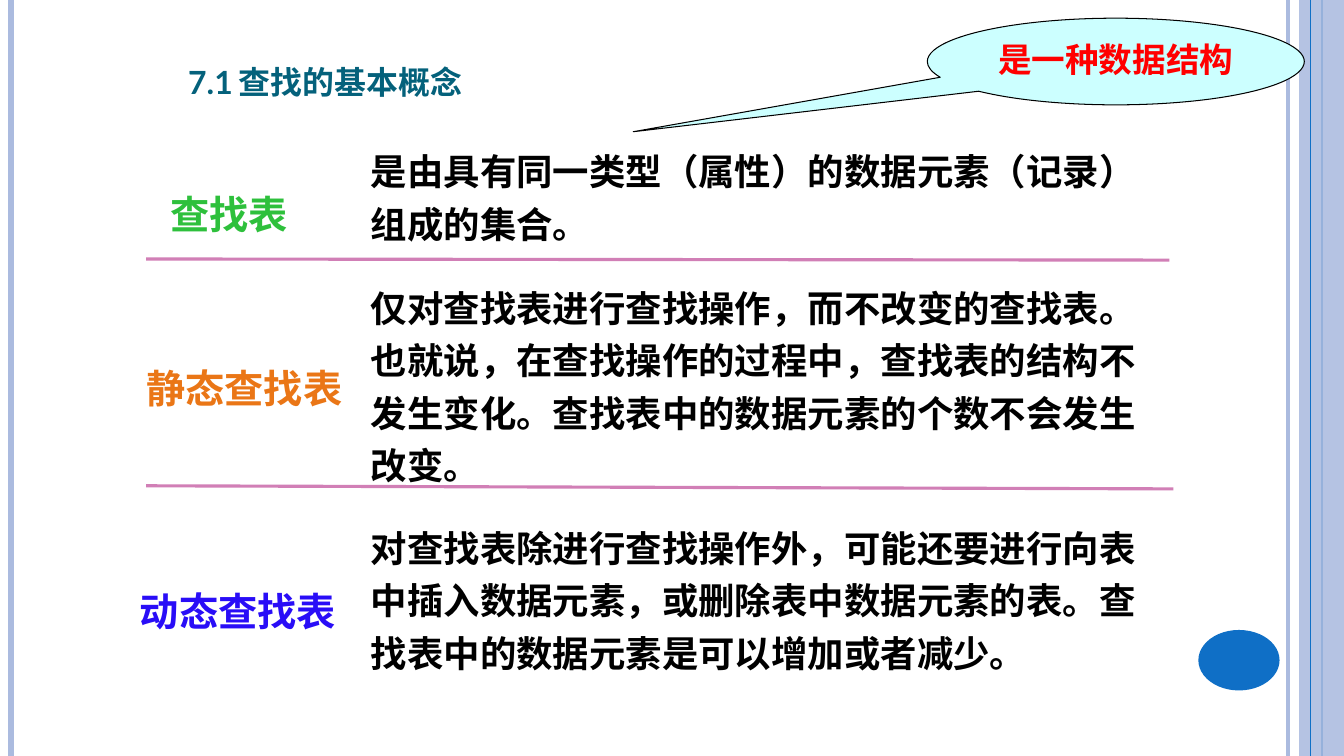
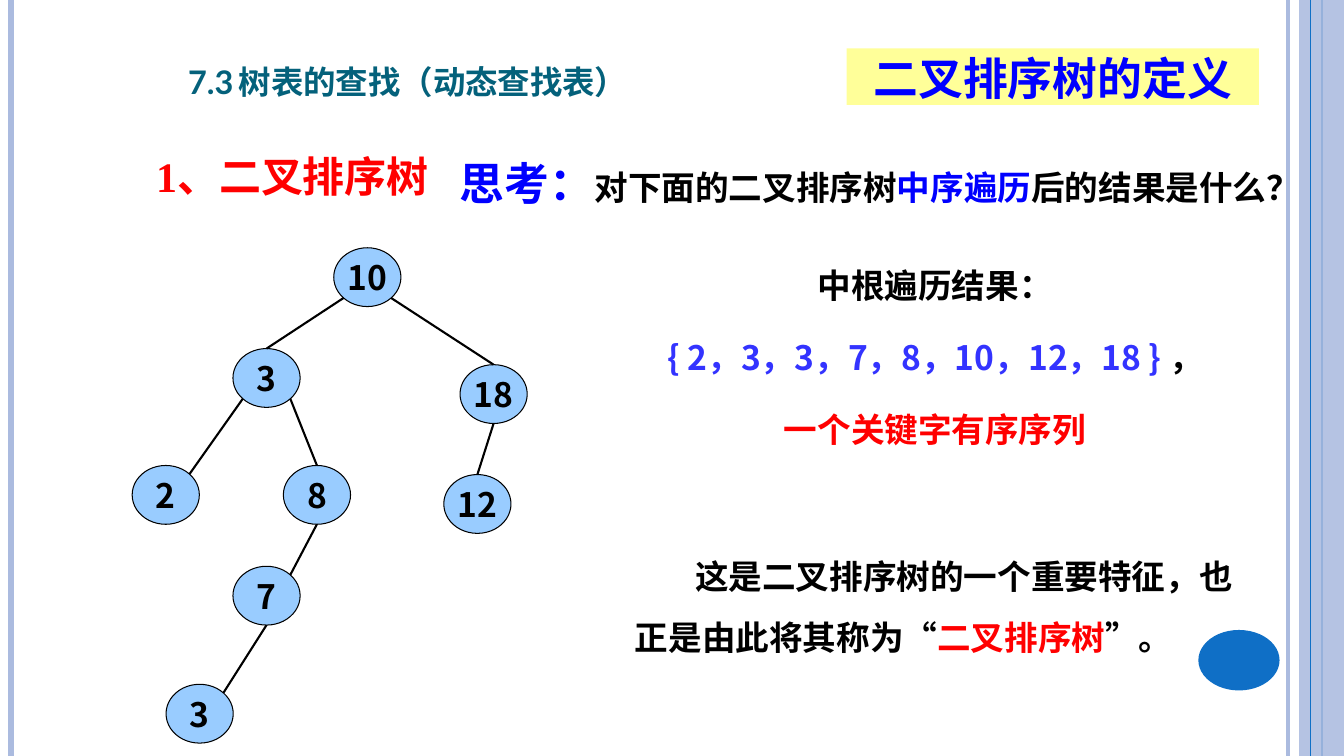
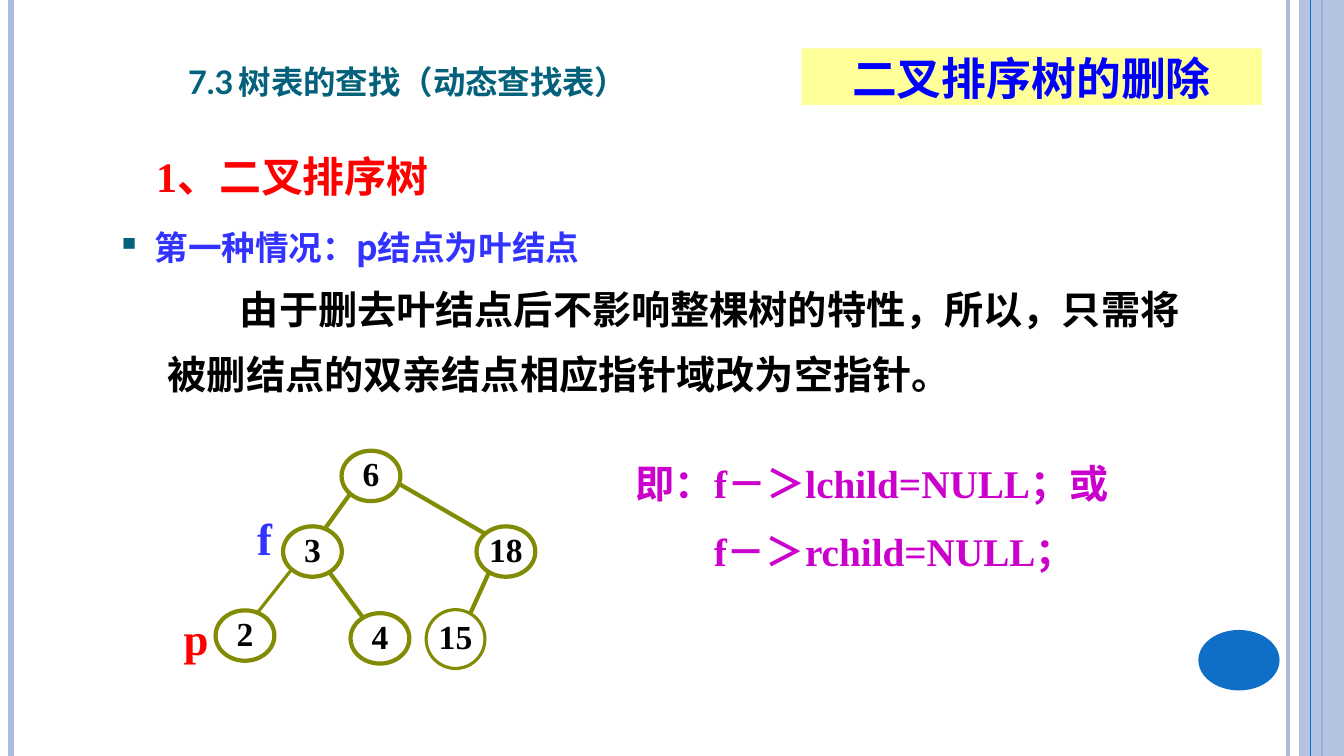
import math

import pptx
import pptx.dml.color
import pptx.enum.shapes
import pptx.enum.text
import pptx.oxml.ns
import pptx.util
from lxml import etree

Pt = pptx.util.Pt
SHAPES = pptx.enum.shapes.MSO_SHAPE
LEFT = pptx.enum.text.PP_ALIGN.LEFT
CENTER = pptx.enum.text.PP_ALIGN.CENTER
TOP = pptx.enum.text.MSO_ANCHOR.TOP
MIDDLE = pptx.enum.text.MSO_ANCHOR.MIDDLE

COLORS = {
    "band": "ABBBDF", "accent": "0F6FC6", "title": "04617B", "black": "000000",
    "red": "FF0000", "blue": "0000FF", "violet_blue": "3333FF", "green": "2EC03C",
    "orange": "EA7616", "indigo": "290DF7", "divider": "D17FB6", "callout": "CCFFFF",
    "label": "FFFF99", "node": "99CCFF", "olive": "818B03", "magenta": "CC00CC",
}
SANS = "Noto Sans CJK SC"
SERIF = "Times New Roman"
TREE_SECTION = "7.3\t树表的查找（动态查找表）"


def add_xml(parent, tag, **attributes):
    return etree.SubElement(parent, pptx.oxml.ns.qn(tag), **attributes)


def run(text, size, color="black", font=SANS, caps=False):
    return {"text": text, "size": size, "color": color, "font": font, "caps": caps}


def para(*runs, align=LEFT, line=None, before=0, margin=0, indent=0, bullet=None, tab=None):
    """Describe a paragraph; line, before, margin, indent and tab are points."""
    return {"runs": runs, "align": align, "line": line, "before": before,
            "margin": margin, "indent": indent, "bullet": bullet, "tab": tab}


class Deck:
    def __init__(self):
        self.presentation = pptx.Presentation()
        self.presentation.slide_width = Pt(960)
        self.presentation.slide_height = Pt(540)
        self.slide = None

    def color(self, name):
        return pptx.dml.color.RGBColor.from_string(COLORS[name])

    def new_slide(self, title, size=29):
        self.slide = self.presentation.slides.add_slide(self.presentation.slide_layouts[6])
        for x, color, width in ((920, "band", 3), (8, "band", 4.5), (944, "accent", 1.5)):
            self.line((x, 0), (x, 540), color, width)
        band = self.shape(SHAPES.RECTANGLE, 928, 0, 32, 540, fill="band")
        band_color = band._element.spPr.find(".//" + pptx.oxml.ns.qn("a:srgbClr"))
        add_xml(band_color, "a:alpha", val="87000")
        self.line((936, 0), (936, 540), "accent", 0.75)
        self.shape(SHAPES.OVAL, 856, 450, 58, 43.2, fill="accent")
        self.text(127.4, 36, 454, 41,
                  [para(run(title, size, "title", "Lato", caps=True), line=34, tab=50)])

    def line(self, start, end, color, width):
        connector = self.slide.shapes.add_connector(
            pptx.enum.shapes.MSO_CONNECTOR.STRAIGHT, *(Pt(v) for v in (*start, *end)))
        connector.line.color.rgb = self.color(color)
        connector.line.width = Pt(width)
        add_xml(connector._element.spPr, "a:effectLst")

    def shape(self, kind, left, top, width, height, fill=None, outline=None,
              weight=0.75, paragraphs=(), anchor=MIDDLE, inset=0):
        shape = self.slide.shapes.add_shape(kind, Pt(left), Pt(top), Pt(width), Pt(height))
        shape.shadow.inherit = False
        if fill:
            shape.fill.solid()
            shape.fill.fore_color.rgb = self.color(fill)
        else:
            shape.fill.background()
        if outline:
            shape.line.color.rgb = self.color(outline)
            shape.line.width = Pt(weight)
        else:
            shape.line.fill.background()
        if paragraphs:
            self.fill_text(shape.text_frame, paragraphs, anchor, inset,
                           wrap=kind != SHAPES.OVAL)
        return shape

    def text(self, left, top, width, height, paragraphs):
        box = self.slide.shapes.add_textbox(Pt(left), Pt(top), Pt(width), Pt(height))
        self.fill_text(box.text_frame, paragraphs, TOP, 3.6)

    def fill_text(self, frame, paragraphs, anchor, inset, wrap=True):
        frame.word_wrap = wrap
        frame.vertical_anchor = anchor
        frame.margin_top = frame.margin_bottom = Pt(inset)
        frame.margin_left = frame.margin_right = Pt(inset * 2)
        for index, item in enumerate(paragraphs):
            paragraph = frame.add_paragraph() if index else frame.paragraphs[0]
            properties = paragraph._p.get_or_add_pPr()
            properties.set("marL", str(Pt(item["margin"])))
            properties.set("indent", str(Pt(item["indent"])))
            if item["bullet"]:
                bullet_color = add_xml(properties, "a:buClr")
                add_xml(bullet_color, "a:srgbClr", val=COLORS["title"])
                add_xml(properties, "a:buChar", char=item["bullet"])
            if item["tab"]:
                tabs = add_xml(properties, "a:tabLst")
                add_xml(tabs, "a:tab", pos=str(Pt(item["tab"])), algn="l")
            paragraph.alignment = item["align"]
            paragraph.space_before = Pt(item["before"])
            if item["line"]:
                paragraph.line_spacing = Pt(item["line"])
            for style in item["runs"]:
                self.add_run(paragraph, style)

    def add_run(self, paragraph, style):
        piece = paragraph.add_run()
        piece.text = style["text"]
        piece.font.size = Pt(style["size"])
        piece.font.bold = True
        piece.font.color.rgb = self.color(style["color"])
        piece.font.name = style["font"]
        properties = piece._r.get_or_add_rPr()
        add_xml(properties, "a:ea", typeface=SANS)
        if style["caps"]:
            properties.set("cap", "small")

    def heading(self, text):
        self.text(104.4, 95, 376, 62, [para(run(text, 30, "red", SERIF), line=45)])

    def topic(self, left, width, text):
        self.shape(SHAPES.RECTANGLE, left, 34.6, width, 40.3, fill="label",
                   paragraphs=[para(run(text, 32, "blue"), align=CENTER, line=40)])

    def tree(self, nodes, edges, font, line, fill, outline, edge_color):
        """nodes: key -> (label, centre x, centre y, width, height, outline weight);
        edges: (parent, angle, child, angle, weight), angles clockwise from the right."""
        def rim(key, angle):
            _, x, y, width, height, _ = nodes[key]
            turn = math.radians(angle)
            return x + width / 2 * math.cos(turn), y + height / 2 * math.sin(turn)

        for label, x, y, width, height, weight in nodes.values():
            self.shape(SHAPES.OVAL, x - width / 2, y - height / 2, width, height,
                       fill, outline, weight,
                       [para(run(label, 24, font=font), align=CENTER, line=line)])
        for parent, start, child, end, weight in edges:
            self.line(rim(parent, start), rim(child, end), edge_color, weight)


def concepts(deck):
    deck.new_slide("7.1\t查找的基本概念", 28.5)
    terms = (
        ("查找表", "green", 104.4, 125.8, 118.8, CENTER, 97, 83,
         "是由具有同一类型（属性）的数据元素（记录）组成的集合。"),
        ("静态查找表", "orange", 91.4, 250.1, 166.3, CENTER, 194.2, 158,
         "仅对查找表进行查找操作，而不改变的查找表。也就说，在查找操作的过程中，"
         "查找表的结构不发生变化。查找表中的数据元素的个数不会发生改变。"),
        ("动态查找表", "indigo", 92.9, 409.4, 158.4, LEFT, 365.6, 120,
         "对查找表除进行查找操作外，可能还要进行向表中插入数据元素，"
         "或删除表中数据元素的表。查找表中的数据元素是可以增加或者减少。"),
    )
    for term, color, left, top, width, align, body_top, body_height, meaning in terms:
        deck.text(left, top, width, 47.5, [para(run(term, 28, color), align=align, line=40)])
        deck.text(257.8, body_top, 578, body_height,
                  [para(run(meaning, 26, font=SERIF), line=37.5)])
    deck.line((104.4, 185), (835.2, 185.8), "divider", 2.25)
    deck.line((104.4, 347), (838.1, 349.2), "divider", 2.25)
    callout = deck.shape(SHAPES.OVAL_CALLOUT, 662.4, 13, 269.3, 61.9, "callout", "black",
                         paragraphs=[para(run("是一种数据结构", 24, "red"),
                                          align=CENTER, line=31)],
                         anchor=TOP, inset=3.6)
    callout.adjustments[0] = -1.28
    callout.adjustments[1] = 0.81


def definition(deck):
    deck.new_slide(TREE_SECTION)
    centres = {
        "root": ("10", 262.4, 198), "left": ("3", 190.4, 270), "leaf": ("2", 118.4, 353.5),
        "eight": ("8", 226.4, 353.5), "seven": ("7", 190.4, 425.5),
        "lowest": ("3", 142.6, 509.8), "right": ("18", 352.6, 281.5),
        "twelve": ("12", 341, 360),
    }
    nodes = {key: (*centre, 48, 42, 0.75) for key, centre in centres.items()}
    edges = [(*edge, 1.5) for edge in (
        ("root", 135, "left", -90), ("root", 45, "right", -90),
        ("left", 135, "leaf", -45), ("left", 45, "eight", -90),
        ("eight", 90, "seven", -45), ("seven", 90, "lowest", -45),
        ("right", 90, "twelve", -90))]
    deck.tree(nodes, edges, SANS, 29, "node", "black", "black")
    deck.text(321.4, 106.4, 616, 47, [para(
        run("思考：", 32, "blue", "Arial"), run("对下面的二叉排序树", 24),
        run("中序遍历", 24, "blue"), run("后的结果是什么？", 24), line=40)])
    deck.text(446.4, 175.2, 443, 310, [
        para(run("中根遍历结果：", 24), align=CENTER, line=39.3),
        para(run("{ 2，3，3，7，8，10，12，18 } ", 24, "violet_blue"), run("，", 24),
             align=CENTER, line=39.3, before=12),
        para(run("一个关键字有序序列", 24, "red"), align=CENTER, line=39.3, before=12),
        para(run("这是二叉排序树的一个重要特征，也正是由此将其称为“", 24),
             run("二叉排序树", 24, "red"), run("”。", 24),
             line=43.6, before=62, indent=43),
    ])
    deck.heading("1、二叉排序树")
    deck.topic(604.8, 294.5, "二叉排序树的定义")


def deletion(deck):
    deck.new_slide(TREE_SECTION)
    deck.heading("1、二叉排序树")
    deck.topic(572.4, 329, "二叉排序树的删除")
    deck.text(76.3, 152.4, 786, 372, [
        para(run("第一种情况：p结点为叶结点", 24, "violet_blue"),
             line=35, margin=27, indent=-27, bullet="▪"),
        para(run("由于删去叶结点后不影响整棵树的特性，所以，只需将", 28, font=SERIF),
             line=40.3, before=6, margin=88),
        para(run("被删结点的双亲结点相应指针域改为空指针。", 28, font=SERIF),
             line=40.3, before=6, margin=36.5),
    ])
    nodes = {label: (label, x, y, 42, height, weight) for label, x, y, height, weight in (
        ("6", 265, 340, 36, 3), ("3", 223.2, 394, 36, 3), ("4", 271.4, 456, 36, 3),
        ("2", 175, 454, 36, 3), ("18", 361.4, 394, 36, 3), ("15", 325.4, 456.5, 42, 2.25))}
    edges = [("6", 135, "3", -65, 3), ("6", 18, "18", -135, 3), ("3", 135, "2", -65, 2.25),
             ("3", 55, "4", -125, 3), ("18", 125, "15", -60, 3)]
    deck.tree(nodes, edges, SERIF, 25, None, "olive", "olive")
    deck.text(447.1, 318, 424, 92, [
        para(run("即：f－＞lchild=NULL；或", 28, "magenta", SERIF), line=40),
        para(run("f－＞rchild=NULL；", 28, "magenta", SERIF), line=40, before=8.6, margin=55.7),
    ])
    for name, color, left, top in (("p", "red", 120, 433), ("f", "violet_blue", 169, 361)):
        deck.text(left, top, 40, 46, [para(run(name, 32, color, SERIF), align=CENTER)])


def main():
    deck = Deck()
    concepts(deck)
    definition(deck)
    deletion(deck)
    deck.presentation.save("out.pptx")


if __name__ == "__main__":
    main()
